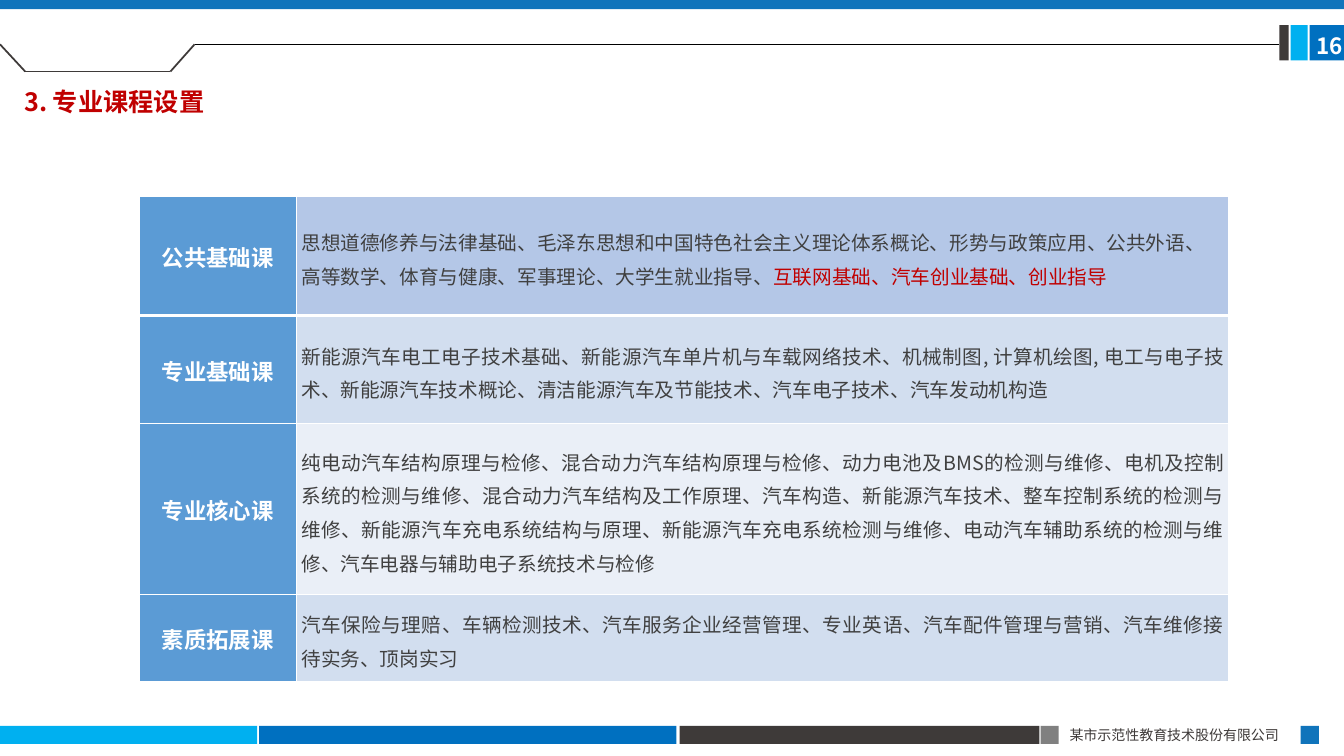
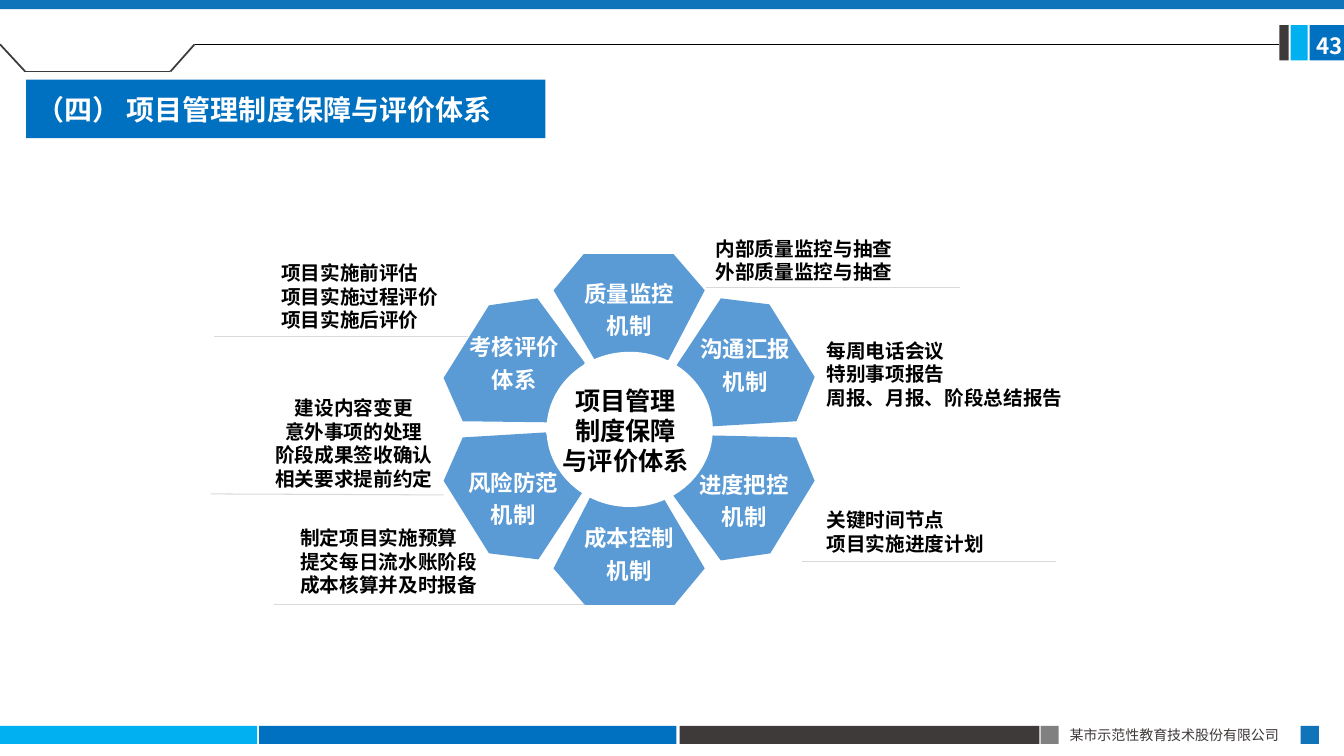
"""Builds two slides on a vehicle course plan and its project controls."""
from lxml.etree import SubElement
from pptx import Presentation
from pptx.dml.color import RGBColor
from pptx.enum.shapes import MSO_CONNECTOR as Link, MSO_SHAPE as Form
from pptx.enum.text import MSO_ANCHOR as Anchor, MSO_AUTO_SIZE as Auto, PP_ALIGN as Align
from pptx.oxml.ns import qn
from pptx.util import Pt

PX = 9144
CJK = "Noto Sans CJK SC"
BLUE = RGBColor(0x00, 0x70, 0xC0)
BAND = RGBColor(0x10, 0x74, 0xBB)
SKY = RGBColor(0x00, 0xB0, 0xF0)
DARK = RGBColor(0x3E, 0x3A, 0x39)
GRAY = RGBColor(0x80, 0x80, 0x80)
PALE = RGBColor(0xD9, 0xD9, 0xD9)
INK = RGBColor(0x40, 0x40, 0x40)
RED = RGBColor(0xC0, 0x00, 0x00)
PETAL = RGBColor(0x5B, 0x9B, 0xD5)
ICE = RGBColor(0xD2, 0xDE, 0xEF)
MIST = RGBColor(0xEA, 0xEF, 0xF7)
HAZE = RGBColor(0xB4, 0xC7, 0xE7)
BLACK = RGBColor(0, 0, 0)
WHITE = RGBColor(255, 255, 255)


def say(frame, lines, size, tint, bold=True, align=Align.LEFT, lead=None, face=CJK):
    frame.word_wrap = True
    for i, line in enumerate(lines):
        par = frame.add_paragraph() if i else frame.paragraphs[0]
        par.alignment = align
        par.line_spacing = Pt(lead or size * 1.2)
        for part, color in zip(line.split("|"), (tint, RED)):
            run = par.add_run()
            run.text = part
            font = run.font
            font.size, font.bold, font.name = Pt(size), bold, face
            font.color.rgb = color
            SubElement(font._element, qn("a:ea")).set("typeface", CJK)


def rule(slide, ends, tint, width):
    line = slide.shapes.add_connector(Link.STRAIGHT, *[v * PX for v in ends])
    line.line.color.rgb = tint
    line.line.width = Pt(width)
    SubElement(line._element.spPr, qn("a:effectLst"))


BARS = [
    (0, 720, 255, 18, SKY), (257, 720, 414, 18, BLUE), (674, 720, 357, 18, DARK),
    (1032, 720, 18, 18, GRAY), (1290, 720, 18, 18, BAND),
    (1299, 25, 34, 35, BLUE), (1280, 25, 17, 35, SKY), (1269, 25, 9, 35, DARK),
    (0, 0, 1333, 9, BAND),
]
NOTCH = [(25, 71, 169, 71), (169, 71, 193, 44), (25, 71, 0, 44)]
HEADS = [
    ("16", "3. 专业课程设置", (14, 73, 279, 56), 18, RED, None, CJK),
    ("43", "（四） 项目管理制度保障与评价体系", (26, 79, 515, 58), 20, WHITE, BLUE, "Calibri"),
]

prs = Presentation()
prs.slide_width, prs.slide_height = 1333 * PX, 750 * PX
slides = []
for page, name, spot, size, tint, back, face in HEADS:
    slide = prs.slides.add_slide(prs.slide_layouts[5])
    slides.append(slide)
    for *area, color in BARS:
        bar = slide.shapes.add_shape(Form.RECTANGLE, *[v * PX for v in area])
        bar.shadow.inherit = False
        bar.fill.solid()
        bar.fill.fore_color.rgb = color
        bar.line.fill.background()
    for ends in NOTCH:
        rule(slide, ends, DARK, 1.25)
    rule(slide, (193, 44, 1269, 44), BLACK, 0.5)
    foot = slide.shapes.add_textbox(1051 * PX, 716 * PX, 240 * PX, 27 * PX)
    say(foot.text_frame, ["某市示范性教育技术股份有限公司"], 10, DARK, False)
    mark = slide.shapes.add_textbox(1296 * PX, 27 * PX, 50 * PX, 37 * PX)
    say(mark.text_frame, [page], 16, WHITE)
    title = slide.shapes.title
    title.left, title.top, title.width, title.height = [v * PX for v in spot]
    if back:
        title.fill.solid()
        title.fill.fore_color.rgb = back
    title.text_frame.auto_size = Auto.NONE
    title.text_frame.vertical_anchor = Anchor.MIDDLE
    say(title.text_frame, [name], size, tint, face=face)

plan, wheel = slides

ROWS = [
    (118, HAZE, Align.LEFT, "公共基础课",
     "思想道德修养与法律基础、毛泽东思想和中国特色社会主义理论体系概论、形势与政策应用、公共外语、"
     "高等数学、体育与健康、军事理论、大学生就业指导、|互联网基础、汽车创业基础、创业指导"),
    (107, ICE, Align.JUSTIFY, "专业基础课",
     "新能源汽车电工电子技术基础、新能源汽车单片机与车载网络技术、机械制图, 计算机绘图, 电工与电子"
     "技术、新能源汽车技术概论、清洁能源汽车及节能技术、汽车电子技术、汽车发动机构造"),
    (170, MIST, Align.JUSTIFY, "专业核心课",
     "纯电动汽车结构原理与检修、混合动力汽车结构原理与检修、动力电池及BMS的检测与维修、电机及控制"
     "系统的检测与维修、混合动力汽车结构及工作原理、汽车构造、新能源汽车技术、整车控制系统的检测与"
     "维修、新能源汽车充电系统结构与原理、新能源汽车充电系统检测与维修、电动汽车辅助系统的检测与维"
     "修、汽车电器与辅助电子系统技术与检修"),
    (86, ICE, Align.JUSTIFY, "素质拓展课",
     "汽车保险与理赔、车辆检测技术、汽车服务企业经营管理、专业英语、汽车配件管理与营销、汽车维修接"
     "待实务、顶岗实习"),
]
grid = plan.shapes.add_table(4, 2, 138 * PX, 195 * PX, 1081 * PX, 481 * PX).table
grid.first_row = grid.horz_banding = False
for col, wide in zip(grid.columns, (156, 925)):
    col.width = wide * PX
for r, (high, back, align, kind, items) in enumerate(ROWS):
    grid.rows[r].height = high * PX
    cells = [(kind, 16, WHITE, True, Align.CENTER, PETAL), (items, 14, INK, False, align, back)]
    for c, (words, size, tint, bold, side, fill) in enumerate(cells):
        cell = grid.cell(r, c)
        cell.vertical_anchor = Anchor.MIDDLE
        cell.margin_left = cell.margin_right = 5 * PX
        cell.margin_top, cell.margin_bottom = PX, 0
        thick = {"lnL": 1, "lnR": 1, "lnT": 3 if r == 1 else 1, "lnB": 3 if r == 0 else 1}
        for tag, width in thick.items():
            edge = SubElement(cell._tc.get_or_add_tcPr(), qn("a:" + tag), w=str(Pt(width)))
            SubElement(SubElement(edge, qn("a:solidFill")), qn("a:srgbClr"), val=str(WHITE))
        cell.fill.solid()
        cell.fill.fore_color.rgb = fill
        say(cell.text_frame, [words], size, tint, bold, side, 24)

PETALS = [
    ("质量监控", "机制", [(579, 252), (668, 252), (699, 288), (663, 357), (590, 357), (549, 288)]),
    ("沟通汇报", "机制", [(715, 296), (763, 302), (808, 374), (790, 418), (707, 423), (670, 364)]),
    ("进度把控", "机制", [(705, 432), (790, 434), (808, 477), (764, 549), (715, 556), (668, 492)]),
    ("成本控制", "机制", [(585, 494), (658, 494), (699, 564), (669, 600), (580, 600), (549, 564)]),
    ("风险防范", "机制", [(541, 429), (578, 488), (534, 555), (485, 549), (440, 477), (459, 434)]),
    ("考核评价", "体系", [(533, 296), (580, 360), (543, 419), (459, 418), (440, 375), (485, 303)]),
]
for *words, dots in PETALS:
    pen = wheel.shapes.build_freeform(*dots[0], scale=PX)
    pen.add_line_segments(dots[1:], close=True)
    petal = pen.convert_to_shape()
    petal.shadow.inherit = False
    petal.fill.solid()
    petal.fill.fore_color.rgb = PETAL
    petal.line.fill.background()
    petal.text_frame.vertical_anchor = Anchor.MIDDLE
    say(petal.text_frame, words, 16, WHITE, align=Align.CENTER, lead=23)

hub = wheel.shapes.add_shape(Form.OVAL, 542 * PX, 349 * PX, 165 * PX, 154 * PX)
hub.shadow.inherit = False
hub.fill.solid()
hub.fill.fore_color.rgb = WHITE
hub.line.fill.background()

for ends in [(700, 285, 952, 285), (795, 557, 1047, 557), (209, 490, 440, 491),
             (272, 600, 579, 600), (212, 334, 464, 334)]:
    rule(wheel, ends, PALE, 0.75)

NOTES = [
    (532, 377, 177, 101, 18, Align.CENTER, ["项目管理", "制度保障", "与评价体系"]),
    (700, 230, 220, 88, 14, Align.LEFT, ["内部质量监控与抽查", "外部质量监控与抽查"]),
    (810, 331, 269, 104, 14, Align.LEFT, ["每周电话会议", "特别事项报告", "周报、月报、阶段总结报告"]),
    (810, 499, 200, 81, 14, Align.LEFT, ["关键时间节点", "项目实施进度计划"]),
    (251, 388, 200, 135, 14, Align.CENTER,
     ["建设内容变更", "意外事项的处理", "阶段成果签收确认", "相关要求提前约定"]),
    (288, 517, 210, 81, 14, Align.LEFT,
     ["制定项目实施预算", "提交每日流水账阶段", "成本核算并及时报备"]),
    (269, 254, 200, 111, 14, Align.LEFT,
     ["项目实施前评估", "项目实施过程评价", "项目实施后评价"]),
]
for *area, size, align, lines in NOTES:
    note = wheel.shapes.add_textbox(*[v * PX for v in area])
    say(note.text_frame, lines, size, BLACK, align=align)

prs.save("out.pptx")
